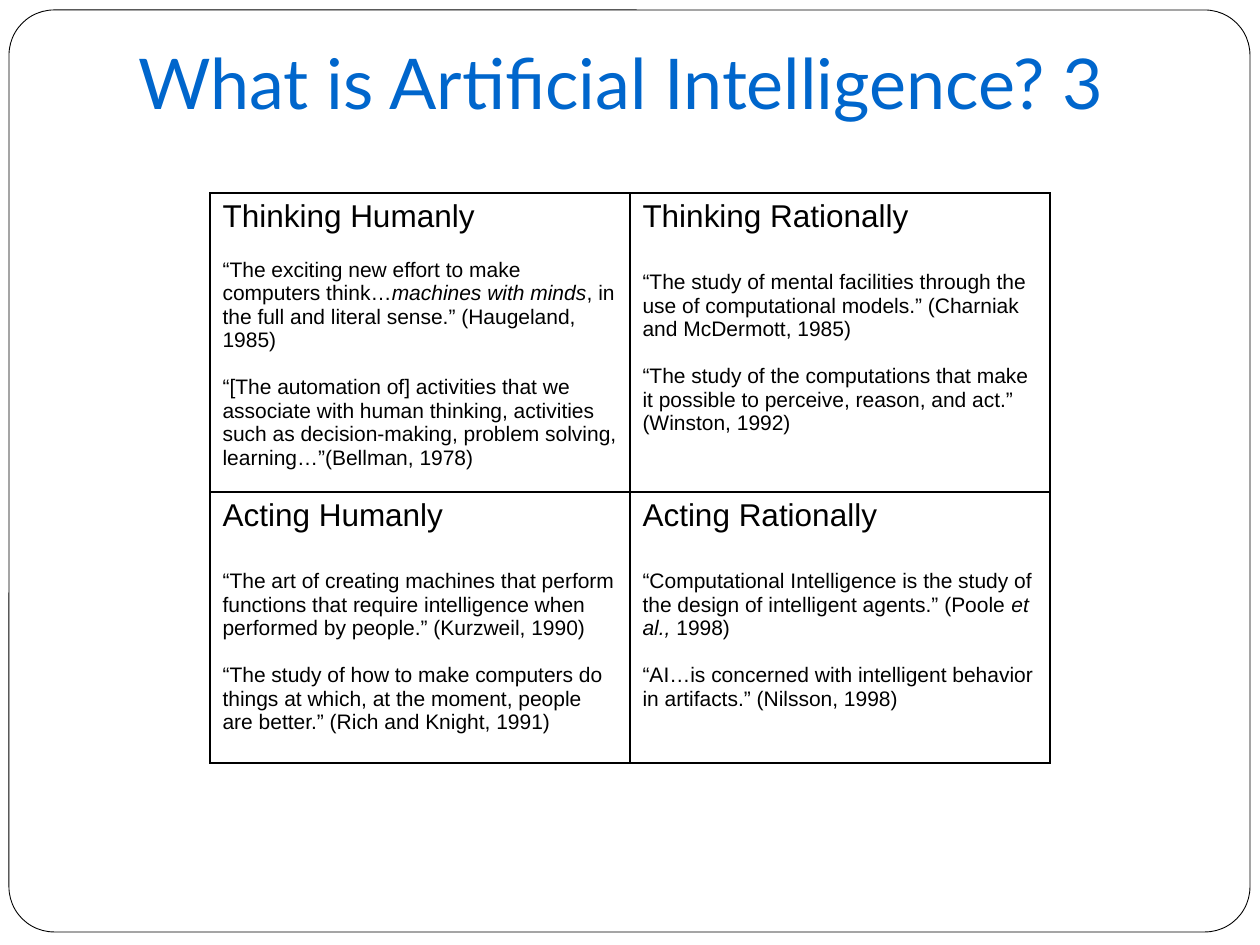
from lxml.etree import SubElement
from pptx import Presentation
from pptx.dml.color import RGBColor
from pptx.enum.shapes import MSO_SHAPE
from pptx.enum.text import MSO_ANCHOR
from pptx.oxml.ns import qn
from pptx.util import Emu, Pt

EMU_PER_PX = 914400 / 126
SMALL_GAP = 13.4
LARGE_GAP = 20.5

QUADRANTS = [
    [
        ("Thinking Humanly", SMALL_GAP, [
            ["“The exciting new effort to make computers think…", "machines with minds",
             ", in the full and literal sense.” (Haugeland, 1985)"],
            ["“[The automation of] activities that we associate with human thinking, activities "
             "such as decision-making, problem solving, learning…”(Bellman, 1978)"],
        ]),
        ("Thinking Rationally", LARGE_GAP, [
            ["“The study of mental facilities through the use of computational models.” "
             "(Charniak and McDermott, 1985)"],
            ["“The study of the computations that make it possible to perceive, reason, "
             "and act.” (Winston, 1992)"],
        ]),
    ],
    [
        ("Acting Humanly", LARGE_GAP, [
            ["“The art of creating machines that perform functions that require intelligence "
             "when performed by people.” (Kurzweil, 1990)"],
            ["“The study of how to make computers do things at which, at the moment, people "
             "are better.” (Rich and Knight, 1991)"],
        ]),
        ("Acting Rationally", LARGE_GAP, [
            ["“Computational Intelligence is the study of the design of intelligent agents.” "
             "(Poole ", "et al., ", "1998)"],
            ["“AI…is concerned with intelligent behavior in artifacts.” (Nilsson, 1998)"],
        ]),
    ],
]


def px(length):
    return Emu(round(length * EMU_PER_PX))


def color(value):
    return RGBColor.from_string(value)


def add_span(para, text, size, font="Arial", fill="000000", italic=False):
    span = para.add_run()
    span.text = text
    span.font.name = font
    span.font.size = Pt(size)
    span.font.bold = False
    span.font.italic = italic
    span.font.color.rgb = color(fill)


class SlideBuilder:
    ink = "000000"
    paper = "FFFFFF"
    accent = "0066CC"

    def __init__(self, page):
        self.page = page

    def frame(self, left, top, width, height):
        box = self.page.shapes.add_shape(
            MSO_SHAPE.ROUNDED_RECTANGLE, px(left), px(top), px(width), px(height))
        box.adjustments[0] = 0.049
        box.shadow.inherit = False
        box.fill.solid()
        box.fill.fore_color.rgb = color(self.paper)
        box.line.color.rgb = color(self.ink)
        box.line.width = Pt(0.5)

    def title(self, text, left, top, width, height):
        box = self.page.shapes.add_textbox(px(left), px(top), px(width), px(height))
        frame = box.text_frame
        frame.word_wrap = True
        frame.vertical_anchor = MSO_ANCHOR.BOTTOM
        frame.margin_bottom = px(13)
        add_span(frame.paragraphs[0], text, 40, font="Lato", fill=self.accent)

    def table(self, rows, left, top, width, heights):
        columns = len(rows[0])
        table = self.page.shapes.add_table(
            len(rows), columns, px(left), px(top), px(width), px(sum(heights))).table
        table.first_row = False
        table.horz_banding = False
        for column in table.columns:
            column.width = px(width // columns)
        for row, height, contents in zip(table.rows, heights, rows):
            row.height = px(height)
            for cell, content in zip(row.cells, contents):
                self.quadrant(cell, *content)

    def quadrant(self, cell, heading, first_gap, quotes):
        self.borders(cell)
        cell.fill.solid()
        cell.fill.fore_color.rgb = color(self.paper)
        frame = cell.text_frame
        add_span(frame.paragraphs[0], heading, 18)
        for quote, gap in zip(quotes, (first_gap, SMALL_GAP)):
            para = frame.add_paragraph()
            para.space_before = Pt(gap)
            for index, text in enumerate(quote):
                add_span(para, text, 12, italic=index % 2 == 1)

    def borders(self, cell):
        properties = cell._tc.get_or_add_tcPr()
        for side in ("lnL", "lnR", "lnT", "lnB"):
            line = SubElement(properties, qn(f"a:{side}"), w=str(Pt(1)))
            fill = SubElement(line, qn("a:solidFill"))
            SubElement(fill, qn("a:srgbClr"), val=self.ink)


def main():
    deck = Presentation()
    deck.slide_width = px(1260)
    deck.slide_height = px(945)
    slide = SlideBuilder(deck.slides.add_slide(deck.slide_layouts[6]))
    slide.frame(9, 10, 1241, 922)
    slide.title("What is Artificial Intelligence? 3", 126, -21, 1071, 157)
    slide.table(QUADRANTS, 210, 193, 840, [283, 271])
    deck.save("out.pptx")


if __name__ == "__main__":
    main()
